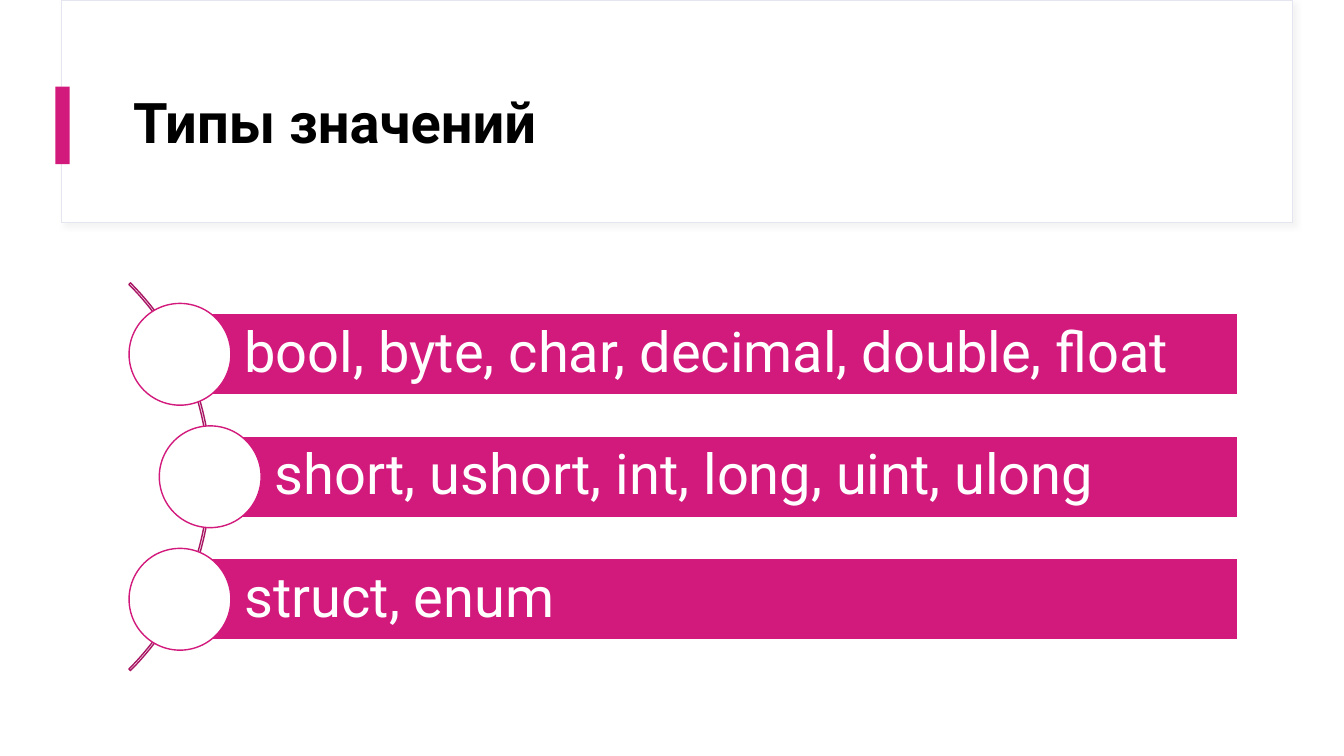
import pptx
import pptx.dml.color
import pptx.enum.shapes
import pptx.enum.text
import pptx.oxml
import pptx.oxml.ns
import pptx.util

Inches = pptx.util.Inches
Pt = pptx.util.Pt
SHAPE = pptx.enum.shapes.MSO_SHAPE
COLORS = {"white": "FFFFFF", "black": "000000", "pink": "D21A7C",
          "arc": "A81563", "border": "E5E5F0", "shadow": "D9D9D9"}
FONT = "Roboto"
TYPE_GROUPS = [
    "bool, byte, char, decimal, double, float",
    "short, ushort, int, long, uint, ulong",
    "struct, enum",
]


def rgb(name):
    return pptx.dml.color.RGBColor.from_string(COLORS[name])


def add_shape(slide, kind, box, fill=None, line=None, width=1):
    sp = slide.shapes.add_shape(kind, *(Inches(v) for v in box))
    sp.shadow.inherit = False
    if fill:
        sp.fill.solid()
        sp.fill.fore_color.rgb = rgb(fill)
    else:
        sp.fill.background()
    if line:
        sp.line.color.rgb = rgb(line)
        sp.line.width = Pt(width)
    else:
        sp.line.fill.background()
    return sp


def add_soft_shadow(sp):
    effects = sp._element.spPr.find(pptx.oxml.ns.qn("a:effectLst"))
    effects.append(pptx.oxml.parse_xml(
        f'<a:outerShdw {pptx.oxml.ns.nsdecls("a")} blurRad="{Pt(4)}" '
        f'dist="{Pt(3)}" dir="2700000" algn="tl" rotWithShape="0">'
        f'<a:srgbClr val="{COLORS["shadow"]}"><a:alpha val="30000"/>'
        '</a:srgbClr></a:outerShdw>'))


def write_text(tf, text, color, bold=False):
    tf.word_wrap = True
    tf.auto_size = pptx.enum.text.MSO_AUTO_SIZE.NONE
    tf.vertical_anchor = pptx.enum.text.MSO_ANCHOR.MIDDLE
    p = tf.paragraphs[0]
    p.alignment = pptx.enum.text.PP_ALIGN.LEFT
    p.line_spacing = 0.9
    r = p.add_run()
    r.text = text
    r.font.name = FONT
    r.font.size = Pt(40)
    r.font.bold = bold
    r.font.color.rgb = rgb(color)


def add_header(slide, box, text):
    x, y, w, h = box
    card = add_shape(slide, SHAPE.RECTANGLE, box, "white", "border", 0.75)
    add_soft_shadow(card)
    add_shape(slide, SHAPE.RECTANGLE, (x - 0.06, y + 0.86, 0.14, 0.77), "pink")
    title = slide.shapes.title
    title.left, title.top = Inches(x + 0.61), Inches(y + 0.6)
    title.width, title.height = Inches(11.12), Inches(1.29)
    write_text(title.text_frame, text, "black", bold=True)
    slide.shapes._spTree.append(title._element)  # bring above the card


def add_curved_list(slide, box, items):
    """Bars beside circles strung along an arc that bulges to the right."""
    x, y, w, h = box
    circle, bar_h, bulge, arc = 1.01, 0.81, 0.3, 5.44
    pitch = (h - circle) / (len(items) - 1)
    middle = (len(items) - 1) / 2

    curve = add_shape(slide, SHAPE.BLOCK_ARC,
                      (x + 0.81 - arc, y + (h - arc) / 2, arc, arc),
                      line="arc")
    for i, value in enumerate((189, 27, 0.004)):
        curve.adjustments[i] = value

    for i, text in enumerate(items):
        left = x + bulge * (1 - abs(i - middle) / middle)
        center_x = left + circle / 2
        center_y = y + circle / 2 + i * pitch
        bar = add_shape(slide, SHAPE.RECTANGLE,
                        (center_x, center_y - bar_h / 2,
                         x + w - center_x, bar_h), "pink", "white")
        tf = bar.text_frame
        tf.margin_left = Inches(0.64)
        tf.margin_top = tf.margin_right = tf.margin_bottom = Inches(0.11)
        write_text(tf, text, "white")
        add_shape(slide, SHAPE.OVAL,
                  (left, center_y - circle / 2, circle, circle),
                  "white", "pink")


def main():
    prs = pptx.Presentation()
    prs.slide_width, prs.slide_height = Inches(13.33), Inches(7.5)
    slide = prs.slides.add_slide(prs.slide_layouts[5])
    add_header(slide, (0.61, 0, 12.21, 2.21), "Типы значений")
    add_curved_list(slide, (1.28, 3.01, 11, 3.44), TYPE_GROUPS)
    prs.save("out.pptx")


if __name__ == "__main__":
    main()
